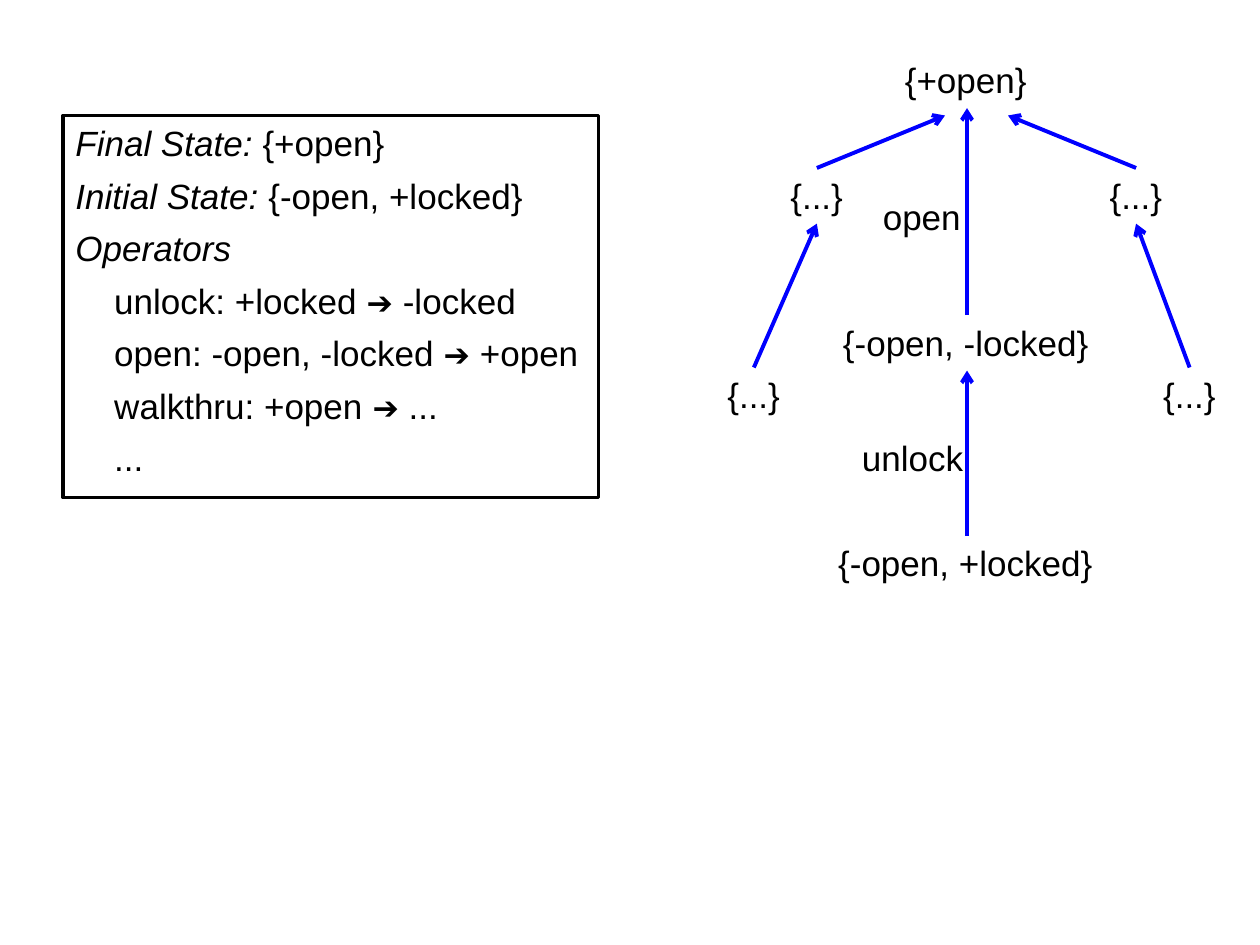
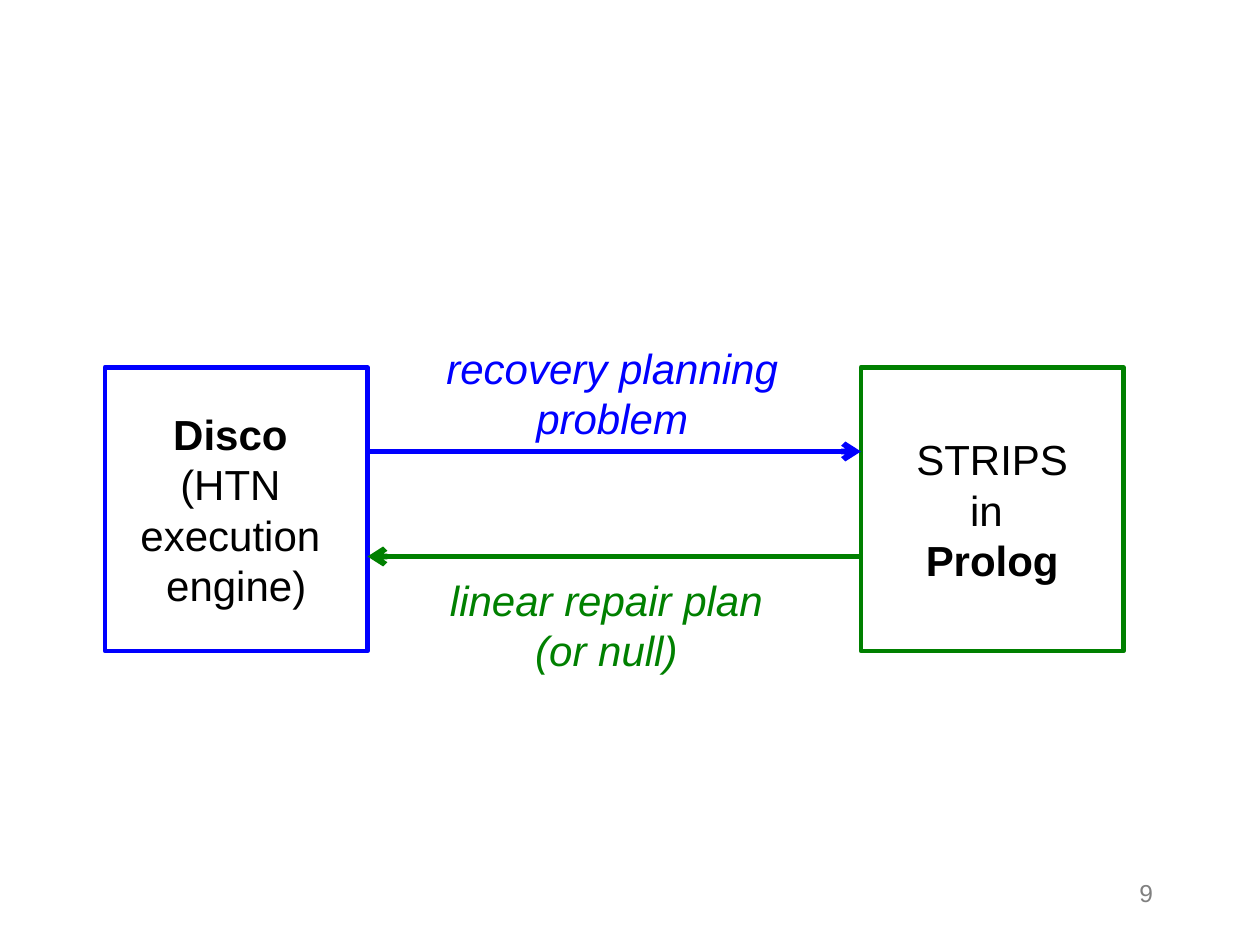
from pptx import Presentation
from pptx.dml.color import RGBColor as Rgb
from pptx.enum.shapes import MSO_CONNECTOR as Conn, MSO_SHAPE as Kind
from pptx.enum.text import MSO_ANCHOR as Anchor, PP_ALIGN as Align
from pptx.oxml.ns import qn
from pptx.util import Inches, Pt
from lxml.etree import SubElement as Sub

COLS, ROWS = 120, 90
WIDE, HIGH = Inches(10), Inches(7.5)
BLACK, BLUE, GREEN, GRAY = "000000", "0000FF", "008000", "808080"
LINE = 5.3
ARROW = ("➔", {"size": Pt(18)})
SLANT = {"italic": True}
BOLD = {"bold": True}


def hue(code):
    return Rgb.from_string(code)


def col(num):
    return round(WIDE * num / COLS)


def row(num):
    return round(HIGH * num / ROWS)


def put(obj, form):
    for key, val in form.items():
        setattr(obj, key, val)


def write(shape, paras, size, color=BLACK, wrap=True, anchor=Anchor.TOP,
          form=None, indent=0, **look):
    frame = shape.text_frame
    put(frame, {"word_wrap": wrap, "vertical_anchor": anchor})
    for num, runs in enumerate(paras):
        para = frame.paragraphs[0] if num == 0 else frame.add_paragraph()
        put(para, {"alignment": Align.LEFT, **look})
        if runs[0] == "indent":
            para._p.get_or_add_pPr().set("marL", str(indent))
            runs = runs[1:]
        for part in runs:
            text, extra = (part, {}) if isinstance(part, str) else part
            run = para.add_run()
            run.text = text
            put(run.font, {"name": "Arial", "size": Pt(size),
                           **(form or {}), **extra})
            run.font.color.rgb = hue(color)


def label(shapes, text, x, y, w, h=LINE, size=20, **look):
    box = shapes.add_textbox(col(x), row(y), col(w), row(h))
    write(box, [[line] for line in text.split("\n")], size, **look)


def frame(shapes, x, y, w, h, color, weight, paras, size, **look):
    box = shapes.add_shape(Kind.RECTANGLE, col(x), row(y), col(w), row(h))
    box.shadow.inherit = False
    box.fill.background()
    box.line.color.rgb = hue(color)
    box.line.width = Pt(weight)
    write(box, paras, size, **look)


def arrow(shapes, start, end, color, weight):
    link = shapes.add_connector(Conn.STRAIGHT, col(start[0]), row(start[1]),
                                col(end[0]), row(end[1]))
    link.line.color.rgb = hue(color)
    link.line.width = Pt(weight)
    Sub(link.line._get_or_add_ln(), qn("a:tailEnd"), type="arrow")
    Sub(link._element.spPr, qn("a:effectLst"))


def search(shapes):
    rules = [
        [("Final State: ", SLANT), "{+open}"],
        [("Initial State: ", SLANT), "{-open, +locked}"],
        [("Operators", SLANT)],
        ["indent", "unlock: +locked ", ARROW, " -locked"],
        ["indent", "open: -open, -locked ", ARROW, " +open"],
        ["indent", "walkthru: +open ", ARROW, " ..."],
        ["indent", "..."],
    ]
    frame(shapes, 6, 11, 51, 36.4, BLACK, 1.75, rules, 20,
          indent=col(3.7), space_after=Pt(6))

    mid = 92.1
    states = {
        "goal": ("{+open}", mid, 5, 14.2),
        "shut": ("{-open, -locked}", mid, 30, 26),
        "start": ("{-open, +locked}", mid, 51, 26.9),
        "left": ("{...}", 77.8, 16, 7.4),
        "right": ("{...}", 108.2, 16, 7.4),
        "far left": ("{...}", 71.8, 35, 7.4),
        "far right": ("{...}", 113.3, 35, 7.4),
    }
    for text, x, y, w in states.values():
        label(shapes, text, x - w / 2, y, w, wrap=False)

    links = [("start", "shut", 0, 0), ("shut", "goal", 0, 0),
             ("left", "goal", -2.1, 0.7), ("right", "goal", 3.9, 0.7),
             ("far left", "left", 0, 0), ("far right", "right", 0, 0)]
    for low, top, dx, dy in links:
        _, x, y, _ = states[low]
        _, tip, base, _ = states[top]
        arrow(shapes, (x, y), (tip + dx, base + LINE + dy), BLUE, 2.25)

    label(shapes, "unlock", 80.9, 41, 15.6)
    label(shapes, "open", 82.9, 18, 12)


def repair(shapes):
    label(shapes, "9", 86, 83, 25, 6, 14, color=GRAY, alignment=Align.RIGHT)
    left, right, wide = 10, 82, 25
    edge = left + wide
    parts = [
        (left, BLUE, [[("Disco ", BOLD)], ["(HTN "], ["execution "],
                      ["engine)"]]),
        (right, GREEN, [["STRIPS"], ["in "], [("Prolog", BOLD)]]),
    ]
    for x, color, paras in parts:
        frame(shapes, x, 35, wide, 27, color, 2.75, paras, 24, wrap=False,
              anchor=Anchor.MIDDLE, alignment=Align.CENTER)

    flows = [
        ("recovery planning\nproblem", 40, 32, 36.6, edge, right, 43, BLUE),
        ("linear repair plan\n(or null)", 41, 54.1, 33.5, right, edge, 53,
         GREEN),
    ]
    for text, x, y, w, start, end, level, color in flows:
        group = shapes.add_group_shape().shapes
        label(group, text, x, y, w, 10.9, 24, color=color, wrap=False,
              form=SLANT, alignment=Align.CENTER)
        arrow(group, (start, level), (end, level), color, 3.25)


def main():
    deck = Presentation()
    put(deck, {"slide_width": WIDE, "slide_height": HIGH})
    for draw in (search, repair):
        draw(deck.slides.add_slide(deck.slide_layouts[6]).shapes)
    deck.save("out.pptx")


if __name__ == "__main__":
    main()
